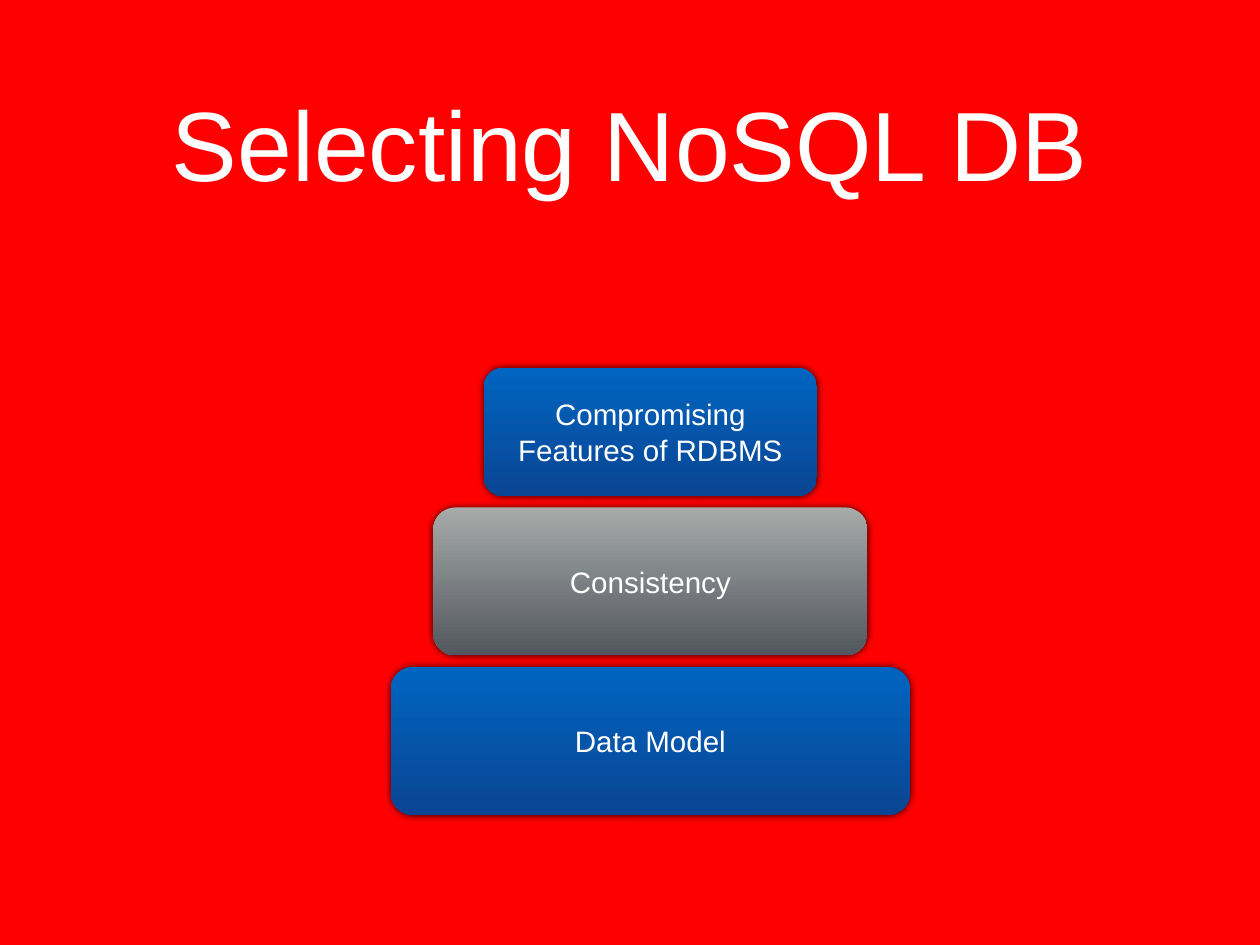
from lxml import etree
from pptx import Presentation
from pptx.dml.color import RGBColor
from pptx.enum.shapes import MSO_SHAPE
from pptx.enum.text import MSO_ANCHOR, MSO_AUTO_SIZE, PP_ALIGN
from pptx.oxml.ns import qn
from pptx.util import Inches, Pt

ROUNDED = MSO_SHAPE.ROUNDED_RECTANGLE
MIDDLE = MSO_ANCHOR.MIDDLE
CENTER = PP_ALIGN.CENTER
NO_AUTOFIT = MSO_AUTO_SIZE.NONE

RED = RGBColor(0xFF, 0x00, 0x00)
WHITE = RGBColor(0xFF, 0xFF, 0xFF)
BLACK = RGBColor(0x00, 0x00, 0x00)
BLUE = (RGBColor(0x00, 0x65, 0xC1), RGBColor(0x09, 0x45, 0x93))
GRAY = (RGBColor(0xA6, 0xAA, 0xA8), RGBColor(0x52, 0x57, 0x5F))

PYRAMID_CENTER = 7.34
PYRAMID_BOTTOM = 9.2
LEVEL_PITCH = 1.8
# Label, width, height and gradient, from the base upwards
LEVELS = [
    ("Data Model", 5.86, 1.67, BLUE),
    ("Consistency", 4.9, 1.67, GRAY),
    ("Compromising Features of RDBMS", 3.76, 1.45, BLUE),
]


class SlideBuilder:
    font = "Arial"
    title_size = Pt(80)
    label_size = Pt(24)
    inset = Inches(0.06)

    def __init__(self, slide):
        self.slide = slide

    def background(self, color):
        fill = self.slide.background.fill
        fill.solid()
        fill.fore_color.rgb = color

    def set_text(self, frame, wording, size):
        frame.text = wording
        frame.word_wrap = True
        frame.auto_size = NO_AUTOFIT
        frame.vertical_anchor = MIDDLE
        frame.margin_left = frame.margin_right = self.inset
        frame.margin_top = frame.margin_bottom = self.inset
        paragraph = frame.paragraphs[0]
        paragraph.alignment = CENTER
        paragraph.font.name = self.font
        paragraph.font.size = size
        paragraph.font.color.rgb = WHITE

    def title(self, wording, left, top, width, height):
        heading = self.slide.shapes.title
        heading.left, heading.top = Inches(left), Inches(top)
        heading.width, heading.height = Inches(width), Inches(height)
        self.set_text(heading.text_frame, wording, self.title_size)

    def block(self, label, left, top, width, height, gradient):
        block = self.slide.shapes.add_shape(
            ROUNDED, Inches(left), Inches(top), Inches(width), Inches(height))
        block.adjustments[0] = 0.15
        block.fill.gradient()
        block.fill.gradient_angle = 270
        for stop, color in zip(block.fill.gradient_stops, gradient):
            stop.color.rgb = color
        block.line.fill.background()
        self.glow(block)
        self.set_text(block.text_frame, label, self.label_size)

    def glow(self, block):
        """Put a soft, undisplaced dark shadow around the block."""
        block.shadow.inherit = False
        effects = block._element.spPr.find(qn("a:effectLst"))
        shadow = etree.SubElement(
            effects, qn("a:outerShdw"), blurRad=str(Pt(6)), dist="0",
            dir=str(315 * 60000), rotWithShape="0")
        color = etree.SubElement(shadow, qn("a:srgbClr"), val=str(BLACK))
        etree.SubElement(color, qn("a:alpha"), val="80000")


def main():
    deck = Presentation()
    deck.slide_width, deck.slide_height = Inches(14.22), Inches(10.67)
    title_only = deck.slide_layouts[5]
    builder = SlideBuilder(deck.slides.add_slide(title_only))
    builder.background(RED)
    builder.title("Selecting NoSQL DB", 1.04, 0.44, 12.14, 2.32)
    for level, (label, width, height, gradient) in enumerate(LEVELS):
        left = PYRAMID_CENTER - width / 2
        top = PYRAMID_BOTTOM - level * LEVEL_PITCH - height
        builder.block(label, left, top, width, height, gradient)
    deck.save("out.pptx")


if __name__ == "__main__":
    main()
